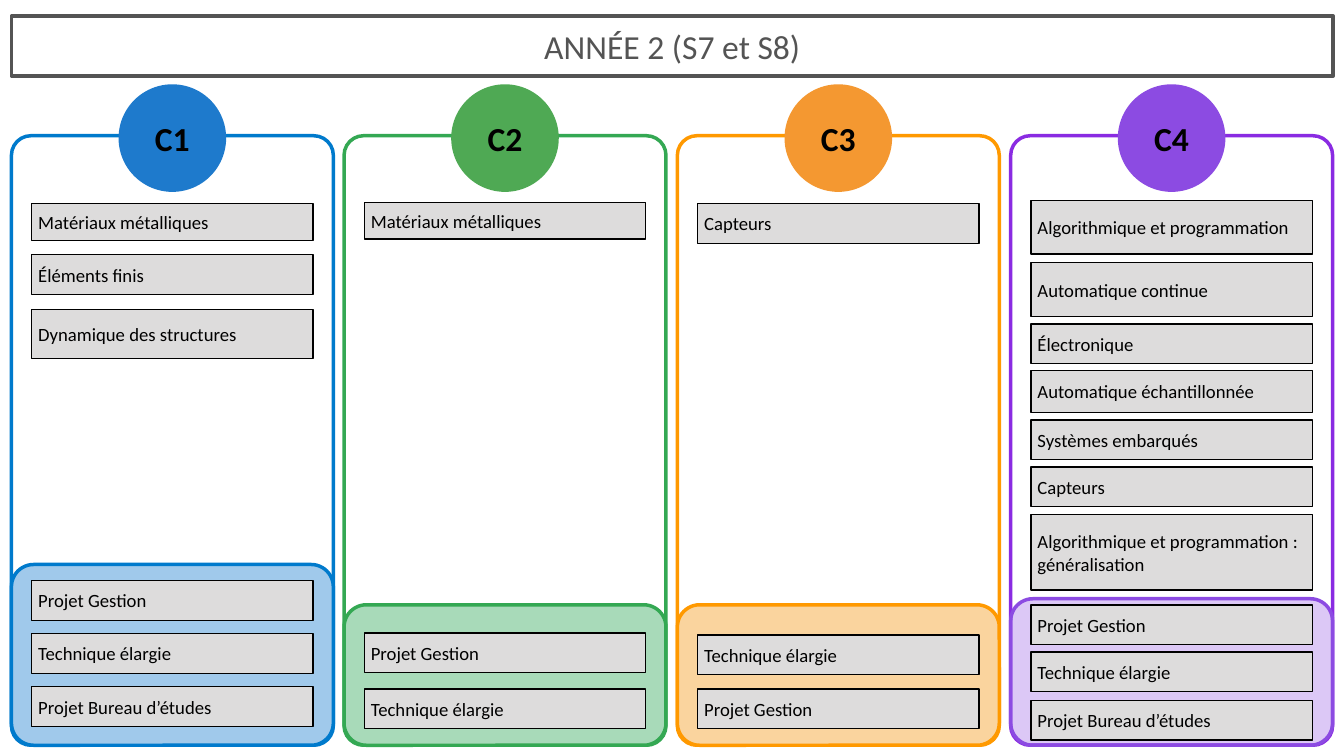
from lxml.etree import SubElement
from pptx import Presentation
from pptx.dml.color import RGBColor
from pptx.enum.shapes import MSO_SHAPE
from pptx.enum.text import MSO_ANCHOR, PP_ALIGN
from pptx.oxml.ns import qn
from pptx.util import Pt

PX = 9144
FONT = "Calibri"
COLORS = {
    "title": "545454", "card": "DDDCDC", "ink": "000000",
    "C1": "007ACC", "C1 disc": "1E7ACC", "C1 band": "A0C9EB",
    "C2": "34A853", "C2 disc": "4FA954", "C2 band": "A8DAB9",
    "C3": "FF9900", "C3 disc": "F49831", "C3 band": "FAD49E",
    "C4": "8A2BE2", "C4 disc": "8C4BE2", "C4 band": "8C4BE2",
}
BAND_LINES = {"C4": "C4 disc"}
BAND_ALPHA = {"C4": 30}
ROW = 59
COLUMNS = [
    ("C1", 638, [
        (101, 55, "Matériaux métalliques"),
        (177, ROW, "Éléments finis"),
        (259, 73, "Dynamique des structures"),
        (662, ROW, "Projet Gestion"),
        (741, ROW, "Technique élargie"),
        (820, ROW, "Projet Bureau d’études"),
    ]),
    ("C2", 698, [
        (99, 55, "Matériaux métalliques"),
        (740, ROW, "Projet Gestion"),
        (823, ROW, "Technique élargie"),
    ]),
    ("C3", 698, [
        (101, ROW, "Capteurs"),
        (743, ROW, "Technique élargie"),
        (823, ROW, "Projet Gestion"),
    ]),
    ("C4", 689, [
        (96, 80, "Algorithmique et programmation"),
        (189, 80, "Automatique continue"),
        (280, ROW, "Électronique"),
        (349, 63, "Automatique échantillonnée"),
        (423, ROW, "Systèmes embarqués"),
        (493, ROW, "Capteurs"),
        (564, 112, "Algorithmique et programmation : généralisation"),
        (698, ROW, "Projet Gestion"),
        (768, ROW, "Technique élargie"),
        (840, ROW, "Projet Bureau d’études"),
    ]),
]


def rgb(name):
    """Look up a named colour."""
    return RGBColor.from_string(COLORS[name])


def add_box(s, kind, box, line, weight, fill=None):
    """Add a preset shape with the given outline and optional fill."""
    sp = s.shapes.add_shape(kind, *(v * PX for v in box))
    sp.shadow.inherit = False
    sp.line.color.rgb = rgb(line)
    sp.line.width = Pt(weight)
    if fill:
        sp.fill.solid()
        sp.fill.fore_color.rgb = rgb(fill)
    else:
        sp.fill.background()
    return sp


def add_rounded(s, box, radius, line, fill=None):
    """Add a rounded rectangle whose corner radius is in px."""
    sp = add_box(s, MSO_SHAPE.ROUNDED_RECTANGLE, box, line, 3.75, fill)
    sp.adjustments[0] = radius / min(box[2:])
    return sp


def write(sp, text, size, color="ink", align=PP_ALIGN.CENTER, bold=False):
    """Write one vertically centred paragraph in a shape."""
    tf = sp.text_frame
    tf.word_wrap = True
    tf.vertical_anchor = MSO_ANCHOR.MIDDLE
    p = tf.paragraphs[0]
    p.alignment = align
    r = p.add_run()
    r.text = text
    r.font.name = FONT
    r.font.size = Pt(size)
    r.font.bold = bold
    r.font.color.rgb = rgb(color)


def add_title(s, box, text):
    """Draw the framed title bar."""
    sp = add_box(s, MSO_SHAPE.RECTANGLE, box, "title", 3.75)
    write(sp, text, 36, "title")


def add_disc(s, box, name):
    """Draw the round label of a column."""
    sp = add_box(s, MSO_SHAPE.OVAL, box, f"{name} disc", 2.25, f"{name} disc")
    tf = sp.text_frame
    tf.margin_left = tf.margin_top = tf.margin_right = tf.margin_bottom = 0
    write(sp, name, 36, bold=True)


def add_band(s, box, name):
    """Draw the tinted project area of a column."""
    sp = add_rounded(s, box, 33, BAND_LINES.get(name, name), f"{name} band")
    if name in BAND_ALPHA:
        clr = sp.fill._xPr.find(qn("a:solidFill"))[0]
        SubElement(clr, qn("a:alpha")).set("val", str(BAND_ALPHA[name] * 1000))


def add_column(s, box, name, band_top, cards):
    """Draw one skill column: frame, disc, project band and course cards."""
    x, y, w, h = box
    disc = 157
    add_rounded(s, box, 29, name)
    add_disc(s, (x + (w - disc) // 2, y - 75, disc, disc), name)
    add_band(s, (x, y + band_top, w, h - band_top), name)
    for top, height, text in cards:
        card = (x + 30, y + top, w - 60, height)
        sp = add_box(s, MSO_SHAPE.RECTANGLE, card, "ink", 1.5, "card")
        write(sp, text, 20, align=PP_ALIGN.LEFT)


def main():
    """Build and save the slide."""
    prs = Presentation()
    prs.slide_width, prs.slide_height = 2000 * PX, 1125 * PX
    s = prs.slides.add_slide(prs.slide_layouts[6])
    add_title(s, (17, 24, 1967, 89), "ANNÉE 2 (S7 et S8)")
    for i, column in enumerate(COLUMNS):
        add_column(s, (17 + i * 1487 // 3, 202, 479, 907), *column)
    prs.save("out.pptx")


if __name__ == "__main__":
    main()
